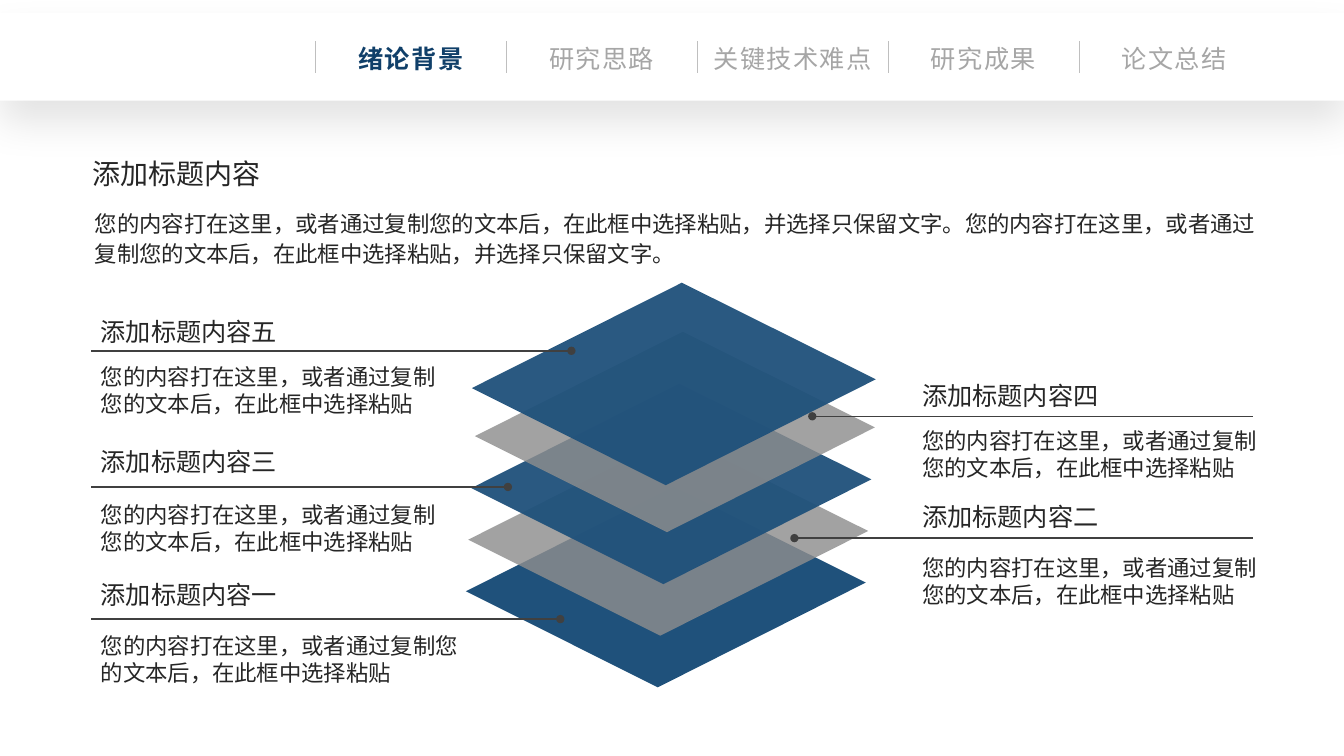
import pptx
import pptx.util
import pptx.dml.color
import pptx.enum.shapes
import pptx.enum.text
import pptx.oxml
import pptx.oxml.ns
from dataclasses import dataclass
from lxml import etree

Cm = pptx.util.Cm
Pt = pptx.util.Pt
qn = pptx.oxml.ns.qn
RGB = pptx.dml.color.RGBColor.from_string
ALIGN = pptx.enum.text.PP_ALIGN


@dataclass(frozen=True)
class Theme:
    font: str = "Noto Sans CJK SC"
    blue: str = "1F517B"
    gray: str = "8E8E8E"
    white: str = "FFFFFF"
    ink: str = "262626"
    rule: str = "404040"
    divider: str = "BFBFBF"
    active: str = "103F69"
    idle: str = "A6A6A6"
    title: int = 20
    heading: int = 18
    body: int = 16


theme = Theme()


def write(box, text, size, color, wrap=True, align=ALIGN.LEFT, margins=(0.33, 0.23), leading=1.2):
    frame = box.text_frame
    frame.word_wrap = wrap
    frame.auto_size = pptx.enum.text.MSO_AUTO_SIZE.NONE
    frame.vertical_anchor = pptx.enum.text.MSO_ANCHOR.TOP
    frame.margin_left = frame.margin_right = Cm(margins[0])
    frame.margin_top = frame.margin_bottom = Cm(margins[1])
    frame.text = text
    paragraph = frame.paragraphs[0]
    paragraph.alignment = align
    paragraph.line_spacing = Pt(size * leading)
    paragraph.font.size = Pt(size)
    paragraph.font.color.rgb = RGB(color)
    paragraph.font.name = theme.font
    defaults = paragraph._p.pPr.find(qn("a:defRPr"))
    etree.SubElement(defaults, qn("a:ea"), typeface=theme.font)
    return paragraph, defaults


def rule(start, end, color, width):
    line = slide.shapes.add_connector(
        pptx.enum.shapes.MSO_CONNECTOR.STRAIGHT, *(Cm(v) for v in start + end))
    line.line.color.rgb = RGB(color)
    line.line.width = Pt(width)
    etree.SubElement(line._element.spPr, qn("a:effectLst"))
    return line


deck = pptx.Presentation()
deck.slide_width = Cm(33.87)
deck.slide_height = Cm(19.05)
slide = deck.slides.add_slide(deck.slide_layouts[5])

title = slide.shapes.title
title.left, title.top, title.width, title.height = Cm(2), Cm(3.71), Cm(4.95), Cm(1.19)
write(title, "添加标题内容", theme.title, theme.ink, wrap=False)

sentence = "您的内容打在这里，或者通过复制您的文本后，在此框中选择粘贴"
intro = slide.shapes.add_textbox(Cm(2.06), Cm(5), Cm(30.07), Cm(1.85))
write(intro, f"{sentence}，并选择只保留文字。" * 2, theme.body, theme.ink, leading=1.32)

layers = [
    (11.74, 14.9, theme.blue, 100, 1),
    (11.8, 13.6, theme.gray, 82, 1),
    (11.88, 12.3, theme.blue, 95, 1),
    (11.97, 10.99, theme.gray, 82, 1),
    (11.89, 9.78, theme.blue, 95, 1.01),
]
corners = [(5.24, -2.63), (10.08, -0.22), (4.84, 2.42)]
for left, middle, color, opacity, scale in layers:
    outline = slide.shapes.build_freeform(Cm(left), Cm(middle))
    outline.add_line_segments(
        [(Cm(left + scale * dx), Cm(middle + scale * dy)) for dx, dy in corners], close=True)
    layer = outline.convert_to_shape()
    layer.shadow.inherit = False
    layer.fill.solid()
    layer.fill.fore_color.rgb = RGB(color)
    layer.line.fill.background()
    if opacity < 100:
        tint = layer._element.spPr.find(qn("a:solidFill"))[0]
        etree.SubElement(tint, qn("a:alpha"), val=str(opacity * 1000))

LEFT = (2.21, 2.29)
RIGHT = (22.91, 31.57)
callouts = [
    ("五", LEFT, 7.75, 8.84, 8.92, 14.4, 9.17),
    ("四", RIGHT, 9.35, 10.49, 10.54, 20.47, 9.25),
    ("三", LEFT, 11.02, 12.27, 12.4, 12.8, 9.17),
    ("二", RIGHT, 12.4, 13.56, 13.74, 20.02, 9.25),
    ("一", LEFT, 14.38, 15.6, 15.7, 14.12, 9.7),
]
for number, (text_left, rule_end), heading_top, rule_y, body_top, dot_x, width in callouts:
    pointer = rule((dot_x, rule_y), (rule_end, rule_y), theme.rule, 1)
    etree.SubElement(pointer.line._get_or_add_ln(), qn("a:headEnd"), type="oval")
    heading = slide.shapes.add_textbox(Cm(text_left), Cm(heading_top), Cm(6.2), Cm(1.14))
    write(heading, f"添加标题内容{number}", theme.heading, theme.ink)
    body = slide.shapes.add_textbox(Cm(text_left), Cm(body_top), Cm(width), Cm(1.7))
    write(body, sentence, theme.body, theme.ink)

banner = slide.shapes.add_shape(
    pptx.enum.shapes.MSO_SHAPE.RECTANGLE, 0, Cm(0.33), deck.slide_width, Cm(2.21))
banner.shadow.inherit = False
banner.fill.solid()
banner.fill.fore_color.rgb = RGB(theme.white)
banner.line.fill.background()
shadow = etree.SubElement(
    banner._element.spPr.find(qn("a:effectLst")), qn("a:outerShdw"),
    blurRad=str(Pt(28)), dist=str(Pt(15)), dir="5400000", algn="t", rotWithShape="0")
shade = etree.SubElement(shadow, qn("a:srgbClr"), val="000000")
etree.SubElement(shade, qn("a:alpha"), val="11000")

chapters = ["绪论背景", "研究思路", "关键技术难点", "研究成果", "论文总结"]
first_divider, chapter_width = 7.95, 4.81
for index, name in enumerate(chapters):
    x = first_divider + index * chapter_width
    rule((x, 1.04), (x, 1.83), theme.divider, 0.5)
    chapter = slide.shapes.add_textbox(Cm(x), Cm(0.91), Cm(chapter_width), Cm(1.02))
    color = theme.idle if index else theme.active
    paragraph, defaults = write(
        chapter, name, theme.heading, color, False, ALIGN.CENTER, (0.25, 0.18))
    paragraph.font.bold = index == 0
    defaults.set("spc", "100")

deck.save("out.pptx")
